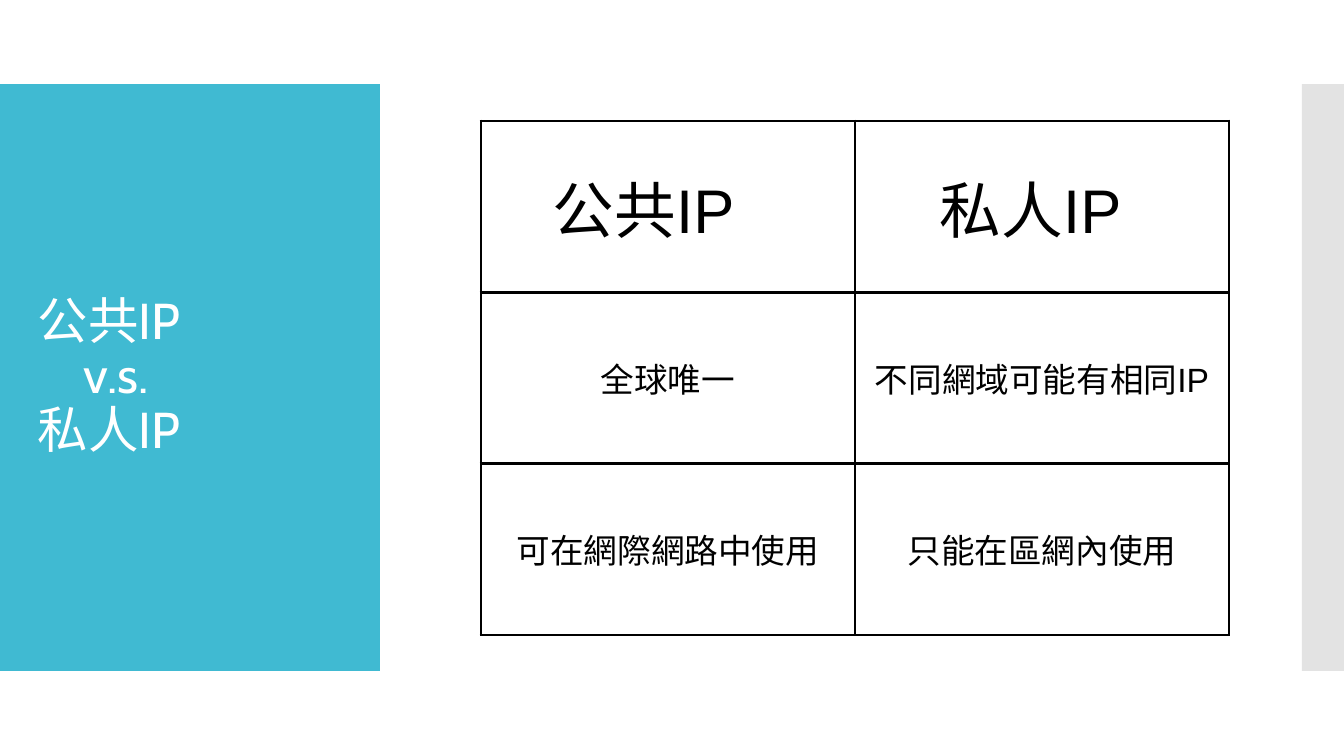
import pptx
import pptx.util
import pptx.dml.color
import pptx.enum.shapes
import pptx.enum.text
import pptx.oxml

SCALE = 914400 / 100.8
COLORS = {"teal": "40BAD2", "gray": "C8C8C8", "white": "FFFFFF", "black": "000000"}
NS = 'xmlns:a="http://schemas.openxmlformats.org/drawingml/2006/main"'
LEFT = pptx.enum.text.PP_ALIGN.LEFT
CENTER = pptx.enum.text.PP_ALIGN.CENTER
MIDDLE = pptx.enum.text.MSO_ANCHOR.MIDDLE
HEADS = [
    ("公共IP", {"indent": 62, "before": 10}),
    ("私人IP", {"indent": 75, "after": 10}),
]
ROWS = [
    ["全球唯一", "不同網域可能有相同IP"],
    ["可在網際網路中使用", "只能在區網內使用"],
]


def px(num):
    return pptx.util.Emu(round(num * SCALE))


def rgb(name):
    return pptx.dml.color.RGBColor.from_string(COLORS[name])


def write(para, text, size, font="Arial", color="black", align=LEFT,
          indent=0, before=0, after=0, line=1.0):
    para.alignment = align
    para.space_before = pptx.util.Pt(before)
    para.space_after = pptx.util.Pt(after)
    para.line_spacing = line
    if indent:
        para._p.get_or_add_pPr().set("marL", str(px(indent)))
    run = para.add_run()
    run.text = text
    run.font.name = font
    run.font.size = pptx.util.Pt(size)
    run.font.color.rgb = rgb(color)


def band(slide, left, width, color, alpha=100):
    kind = pptx.enum.shapes.MSO_SHAPE.RECTANGLE
    shape = slide.shapes.add_shape(kind, px(left), px(84), px(width), px(587))
    shape.shadow.inherit = False
    shape.line.fill.background()
    shape.fill.solid()
    shape.fill.fore_color.rgb = rgb(color)
    if alpha < 100:
        tint = shape.fill._xPr.find(".//{*}srgbClr")
        tint.append(pptx.oxml.parse_xml(f'<a:alpha {NS} val="{alpha * 1000}"/>'))


def title(slide):
    box = slide.shapes.add_textbox(px(28), px(124), px(325), px(507))
    frame = box.text_frame
    frame.word_wrap = True
    frame.vertical_anchor = MIDDLE
    for num, (text, indent) in enumerate([("公共IP", 0), ("v.s.", 46), ("私人IP", 0)]):
        para = frame.add_paragraph() if num else frame.paragraphs[0]
        write(para, text, 36, font="Cabin", color="white", indent=indent, line=0.9)


def border(cell):
    props = cell._tc.get_or_add_tcPr()
    for num, side in enumerate(("lnL", "lnR", "lnT", "lnB")):
        props.insert(num, pptx.oxml.parse_xml(
            f'<a:{side} {NS} w="{pptx.util.Pt(2.25)}"><a:solidFill>'
            f'<a:srgbClr val="{COLORS["black"]}"/></a:solidFill></a:{side}>'))


def fill(cell, text, size, **form):
    cell.fill.background()
    border(cell)
    cell.vertical_anchor = MIDDLE
    cell.margin_left = cell.margin_right = px(10)
    cell.margin_top = cell.margin_bottom = px(10)
    write(cell.text_frame.paragraphs[0], text, size, **form)


def grid(slide):
    table = slide.shapes.add_table(3, 2, px(481), px(121), px(748), px(514)).table
    table.first_row = table.horz_banding = False
    for col, (text, form) in enumerate(HEADS):
        fill(table.cell(0, col), text, 44, **form)
    for row, texts in enumerate(ROWS, 1):
        for col, text in enumerate(texts):
            fill(table.cell(row, col), text, 24, align=CENTER)


def main():
    deck = pptx.Presentation()
    deck.slide_width, deck.slide_height = px(1344), px(756)
    slide = deck.slides.add_slide(deck.slide_layouts[6])
    band(slide, 0, 380, "teal")
    band(slide, 1302, 42, "gray", alpha=50)
    title(slide)
    grid(slide)
    deck.save("out.pptx")


if __name__ == "__main__":
    main()
